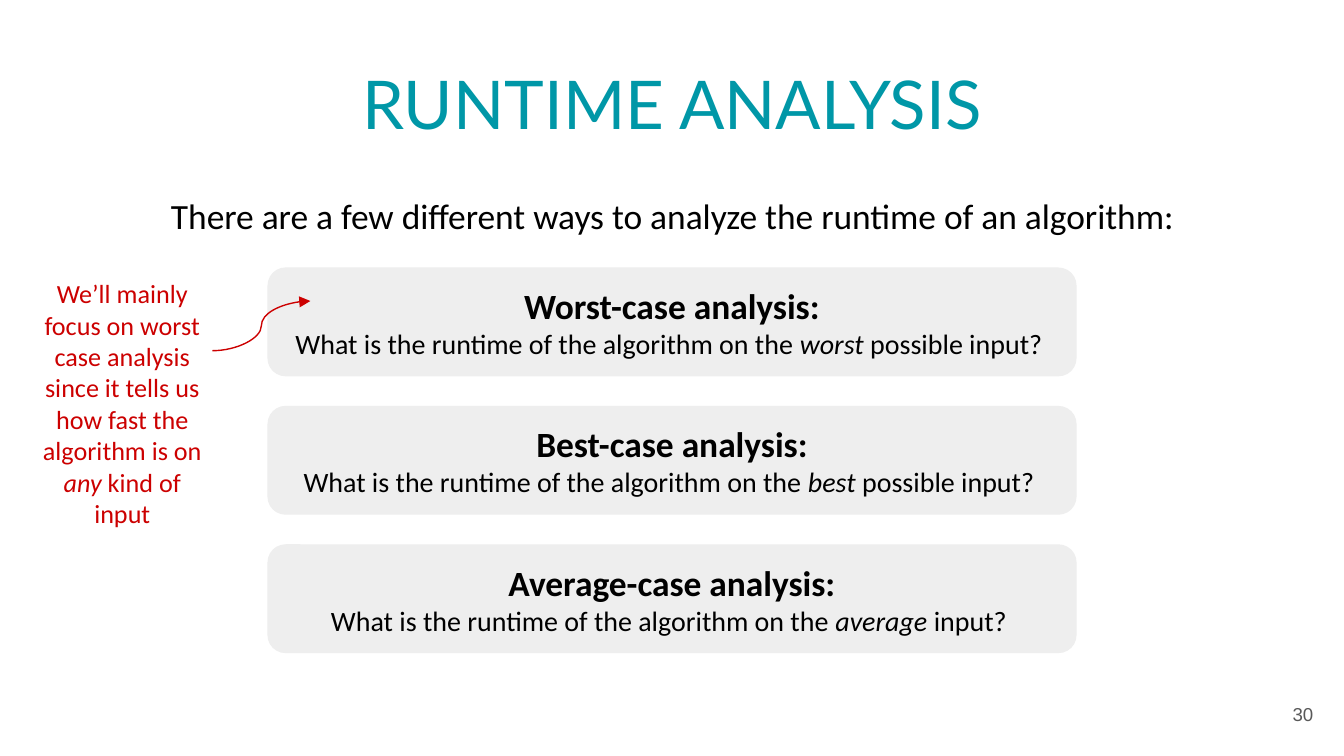
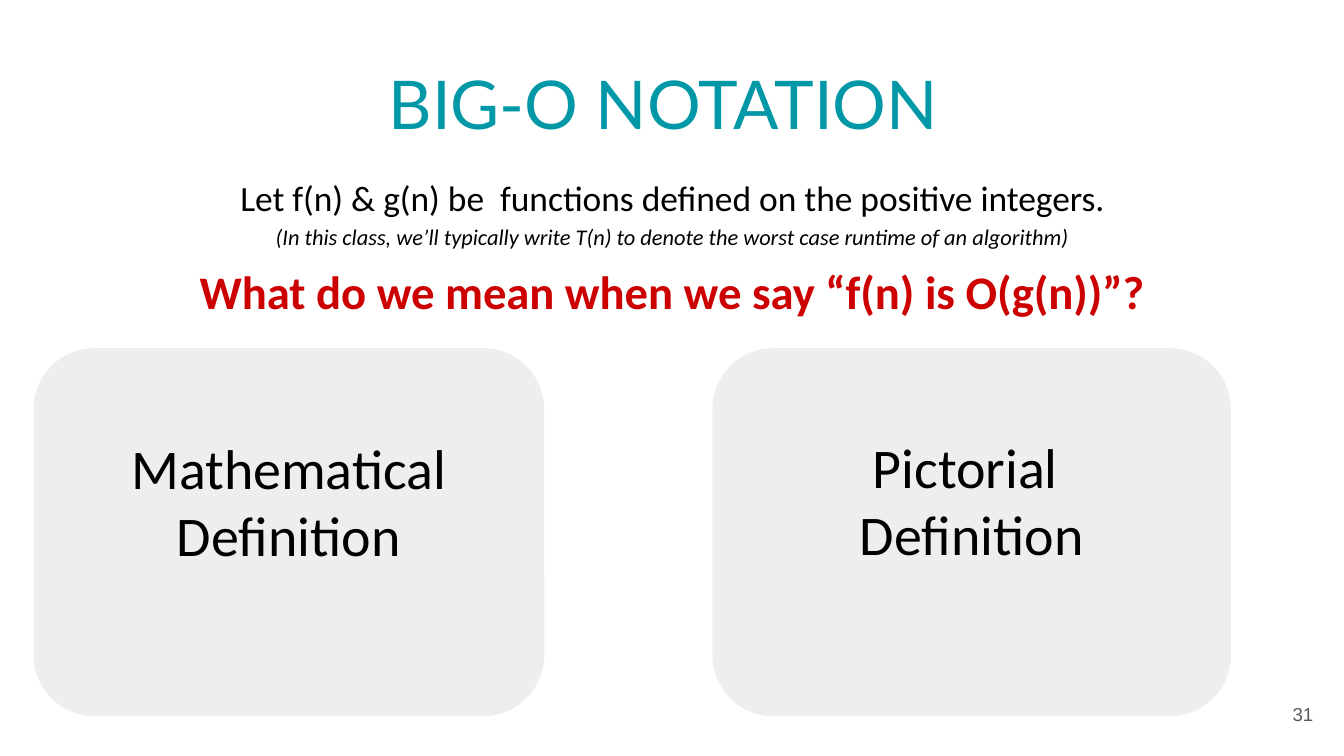
"""Build two slides on runtime analysis and Big-O notation."""
from pptx import Presentation
from pptx import util as u
from pptx.dml.color import RGBColor
from pptx.enum import shapes, text
from pptx.oxml import ns
from lxml import etree

TEAL = RGBColor(0x00, 0x97, 0xA7)
RED = RGBColor(0xCC, 0x00, 0x00)
BLACK = RGBColor(0x00, 0x00, 0x00)
WHITE = RGBColor(0xFF, 0xFF, 0xFF)
PANEL = RGBColor(0xEE, 0xEE, 0xEE)
GREY = RGBColor(0x59, 0x59, 0x59)
CENTER, RIGHT = text.PP_ALIGN.CENTER, text.PP_ALIGN.RIGHT
TOP, MIDDLE = text.MSO_ANCHOR.TOP, text.MSO_ANCHOR.MIDDLE


def write(sp, paragraphs, color=BLACK, font="Calibri", align=CENTER, anchor=MIDDLE, spacing=None):
    """Fill a shape with paragraphs given as lists of (text, size, style) runs."""
    tf = sp.text_frame
    tf.word_wrap = True
    tf.auto_size = text.MSO_AUTO_SIZE.NONE
    tf.vertical_anchor = anchor
    tf.margin_left = tf.margin_right = tf.margin_top = tf.margin_bottom = u.Inches(0.1)
    for i, runs in enumerate(paragraphs):
        p = tf.add_paragraph() if i else tf.paragraphs[0]
        p.alignment = align
        if spacing:
            p.line_spacing = spacing
        for words, size, style in runs:
            r = p.add_run()
            r.text = words.rstrip("\n")
            r.font.name = font
            r.font.size = u.Pt(size)
            r.font.bold = "b" in style
            r.font.italic = "i" in style
            r.font.color.rgb = color
            if words.endswith("\n"):
                p.add_line_break()


def add_box(s, left, top, width, height, panel=False):
    """Add a text box, or a grey rounded panel."""
    at = [u.Inches(v) for v in (left, top, width, height)]
    if not panel:
        return s.shapes.add_textbox(*at)
    sp = s.shapes.add_shape(shapes.MSO_SHAPE.ROUNDED_RECTANGLE, *at)
    sp.shadow.inherit = False
    sp.fill.solid()
    sp.fill.fore_color.rgb = PANEL
    sp.line.fill.background()
    return sp


prs = Presentation()
prs.slide_width = u.Inches(10)
prs.slide_height = u.Inches(10 * 9 / 16)

slides = []
for number, heading in ((30, "RUNTIME ANALYSIS"), (31, "BIG-O NOTATION ")):
    s = prs.slides.add_slide(prs.slide_layouts[5])
    title = s.shapes.title
    title.left, title.top = u.Inches(0.34), u.Inches(0.41)
    title.width, title.height = u.Inches(9.32), u.Inches(0.71)
    title.line.color.rgb = WHITE
    title.line.width = u.Pt(2.25)
    write(title, [[(heading, 36, "")]], TEAL, "Lato")
    write(add_box(s, 9.27, 5.1, 0.6, 0.43), [[(str(number), 10, "")]], GREY, "Arial", RIGHT)
    slides.append(s)
runtime, big_o = slides

write(add_box(runtime, 0.32, 1.3, 9.37, 0.46),
      [[("There are a few different ways to analyze the runtime of an algorithm:", 19, "")]],
      anchor=TOP, spacing=1.15)

cases = (("Worst", "possible input? "), ("Best", "possible input? "), ("Average", "input? "))
for i, (case, ending) in enumerate(cases):
    write(add_box(runtime, 1.99, 1.99 + 1.03 * i, 6.02, 0.81, panel=True), [
        [(f"{case}-case analysis:", 19, "b")],
        [("What is the runtime of the algorithm on the ", 15, ""),
         (f"{case.lower()} ", 15, "i"), (ending, 15, "")],
    ])

write(add_box(runtime, 0.17, 1.85, 1.48, 2.3), [[
    ("We’ll mainly focus on worst case analysis since it tells us how fast the algorithm is on ", 14, ""),
    ("any", 14, "i"), (" kind of input", 14, ""),
]], RED)

arrow = runtime.shapes.add_connector(
    shapes.MSO_CONNECTOR.CURVE, u.Inches(1.58), u.Inches(2.61), u.Inches(2.31), u.Inches(2.24))
arrow.line.color.rgb = RED
arrow.line.width = u.Pt(0.75)
etree.SubElement(arrow.line._get_or_add_ln(), ns.qn("a:tailEnd"), type="triangle")
etree.SubElement(arrow._element.spPr, ns.qn("a:effectLst"))

math_panel = add_box(big_o, 0.25, 2.59, 3.8, 2.74, panel=True)
write(math_panel, [[("Mathematical Definition", 30, "")]], anchor=TOP)
tf = math_panel.text_frame
tf.margin_left = tf.margin_right = tf.margin_bottom = 0
tf.margin_top = u.Inches(0.5)

write(add_box(big_o, 0.32, 1.29, 9.37, 0.54), [[
    ("Let f(n) & g(n) be  functions defined on the positive integers.\n", 19, ""),
    ("(In this class, we’ll typically write T(n) to denote the worst case runtime of an algorithm)", 12, "i"),
]], spacing=1.15)
write(add_box(big_o, 0.32, 1.93, 9.36, 0.47),
      [[("What do we mean when we say “f(n) is O(g(n))”?", 25, "b")]], RED)

add_box(big_o, 5.3, 2.59, 3.86, 2.74, panel=True)
write(add_box(big_o, 5.59, 3.12, 3.28, 1.21),
      [[("Pictorial ", 30, "")], [("Definition", 30, "")]], anchor=TOP)

prs.save("out.pptx")
